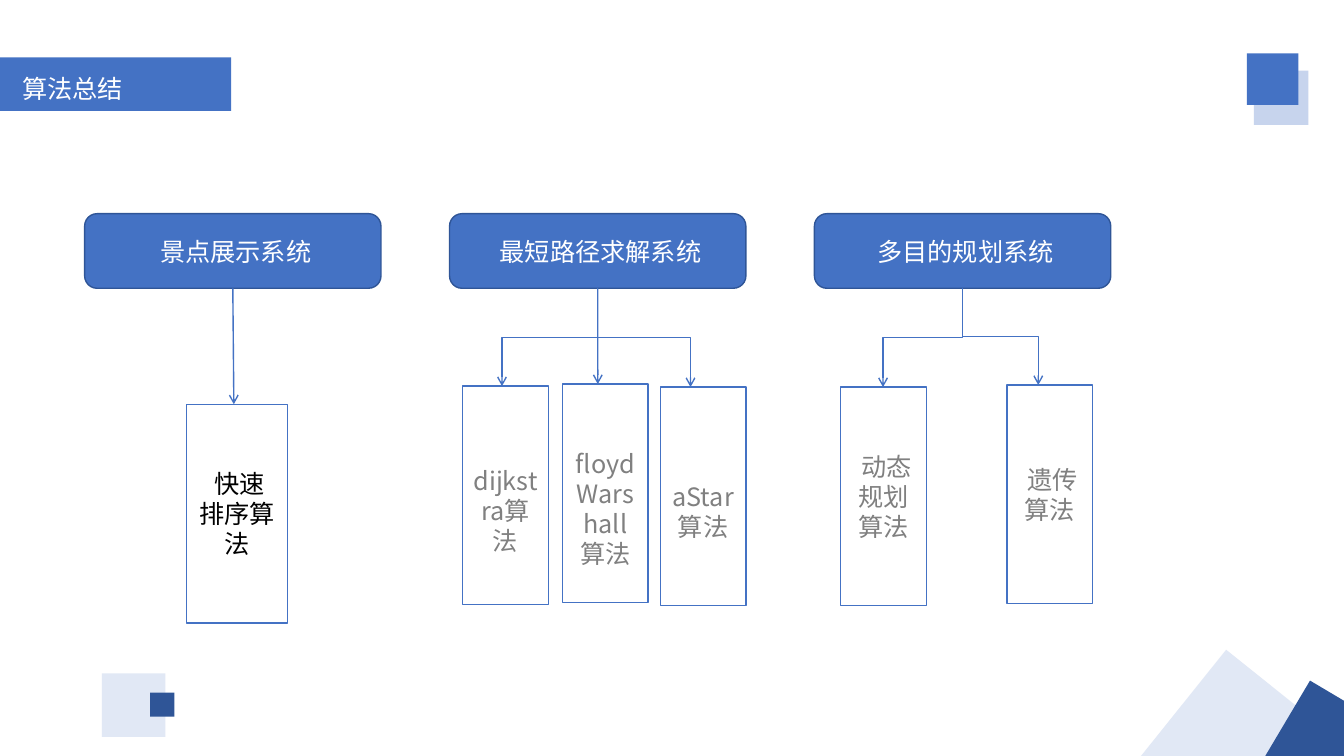
from lxml.etree import SubElement
from pptx import Presentation
from pptx.dml.color import RGBColor
from pptx.enum.shapes import MSO_CONNECTOR, MSO_SHAPE
from pptx.enum.text import MSO_ANCHOR, MSO_AUTO_SIZE, PP_ALIGN
from pptx.oxml.ns import qn
from pptx.util import Inches, Pt

BLUE = RGBColor(0x44, 0x72, 0xC4)
NAVY = RGBColor(0x2F, 0x55, 0x97)
PALE = RGBColor(0xC7, 0xD4, 0xED)
GRAY = RGBColor(0x80, 0x80, 0x80)
BLACK = RGBColor(0, 0, 0)
WHITE = RGBColor(0xFF, 0xFF, 0xFF)

# Positions and sizes below are percentages of the slide's width and height.
SYSTEM_LEFT, SYSTEM_TOP, SYSTEM_STEP = 6.3, 28.27, 27.15
SYSTEM_WIDTH, SYSTEM_HEIGHT = 22.05, 9.87
ALGORITHM_WIDTH, ALGORITHM_HEIGHT = 6.38, 28.93

# Each algorithm: text, left, top, width, arrow tip, text colour
SYSTEMS = [
    (" 景点展示系统", [(" 快速排序算法", 13.88, 53.47, 7.5, 17.4, BLACK)]),
    (" 最短路径求解系统", [
        (" dijkstra算法", 34.43, 51.07, ALGORITHM_WIDTH, 37.35, GRAY),
        (" floydWarshall算法", 41.85, 50.8, ALGORITHM_WIDTH, 44.48, GRAY),
        (" aStar算法", 49.13, 51.2, ALGORITHM_WIDTH, 51.38, GRAY),
    ]),
    (" 多目的规划系统", [
        (" 动态规划算法", 62.55, 51.2, ALGORITHM_WIDTH, 65.7, GRAY),
        (" 遗传算法", 74.93, 50.93, ALGORITHM_WIDTH, 77.25, GRAY),
    ]),
]

# Left, top, side, colour, rotation, opacity
DECORATIONS = [
    (93.3, 9.33, 4.05, PALE, 0, 100),
    (86.48, 90, 11.25, PALE, 308.7, 53),
    (7.58, 89.07, 4.73, PALE, 0, 53),
    (11.18, 91.6, 1.8, NAVY, 0, 100),
    (92.78, 7.07, 3.83, BLUE, 0, 100),
    (95.25, 92.27, 6.83, NAVY, 300.7, 100),
]


class AlgorithmSlide:
    font_name = "Noto Sans CJK SC"
    font_size = Pt(18)
    line_width = Pt(1)

    def __init__(self, deck):
        self.width, self.height = deck.slide_width, deck.slide_height
        self.slide = deck.slides.add_slide(deck.slide_layouts[5])
        self.shapes = self.slide.shapes

    def x(self, share):
        return round(self.width * share / 100)

    def y(self, share):
        return round(self.height * share / 100)

    def set_text(self, frame, text, color, align, anchor):
        frame.word_wrap = True
        frame.auto_size = MSO_AUTO_SIZE.NONE
        frame.vertical_anchor = anchor
        frame.text = text
        paragraph = frame.paragraphs[0]
        paragraph.alignment = align
        font = paragraph.font
        font.size, font.name = self.font_size, self.font_name
        font.color.rgb = color
        SubElement(font._rPr, qn("a:ea"), typeface=self.font_name)

    def shape(self, kind, left, top, width, height, fill=None, line=None):
        """Add a preset shape; the lengths are in EMU."""
        shape = self.shapes.add_shape(kind, left, top, width, height)
        shape.shadow.inherit = False
        if fill is None:
            shape.fill.background()
        else:
            shape.fill.solid()
            shape.fill.fore_color.rgb = fill
        if line is None:
            shape.line.fill.background()
        else:
            shape.line.color.rgb = line
            shape.line.width = self.line_width
        return shape

    def title(self, text):
        banner = self.shape(MSO_SHAPE.PENTAGON, 0, self.y(7.6),
                            self.x(17.2), self.y(7.07), BLUE)
        banner.adjustments[0] = 0
        title = self.shapes.title
        title.left, title.top = self.x(0.9), self.y(9.07)
        title.width, title.height = self.x(16.28), self.y(5.73)
        self.set_text(title.text_frame, text, WHITE, PP_ALIGN.JUSTIFY, MSO_ANCHOR.TOP)
        banner._element.addnext(title._element)

    def square(self, left, top, side, color, rotation, opacity):
        square = self.shape(MSO_SHAPE.RECTANGLE, self.x(left), self.y(top),
                            self.x(side), self.x(side), color)
        square.rotation = rotation
        if opacity < 100:
            rgb = square._element.spPr.find(".//" + qn("a:srgbClr"))
            SubElement(rgb, qn("a:alpha"), val=str(opacity * 1000))

    def system(self, text, left):
        system = self.shape(MSO_SHAPE.ROUNDED_RECTANGLE, self.x(left), self.y(SYSTEM_TOP),
                            self.x(SYSTEM_WIDTH), self.y(SYSTEM_HEIGHT), BLUE, NAVY)
        self.set_text(system.text_frame, text, WHITE, PP_ALIGN.CENTER, MSO_ANCHOR.MIDDLE)
        return system

    def algorithm(self, text, left, top, width, color):
        algorithm = self.shape(MSO_SHAPE.RECTANGLE, self.x(left), self.y(top),
                               self.x(width), self.y(ALGORITHM_HEIGHT), line=BLUE)
        self.set_text(algorithm.text_frame, text, color, PP_ALIGN.CENTER, MSO_ANCHOR.MIDDLE)

    def arrow(self, system, tip_x, tip_y):
        """Point down from a system, with a bend when the tip lies to one side."""
        start_x = system.left + system.width // 2
        start_y = system.top + system.height
        end_x, end_y = self.x(tip_x), self.y(tip_y)
        run, drop = end_x - start_x, end_y - start_y
        if abs(run) < Inches(0.1):
            arrow = self.shapes.add_connector(
                MSO_CONNECTOR.STRAIGHT, start_x, start_y, end_x, end_y)
            arrow.begin_connect(system, 2)
        else:
            # A quarter turn about the centre makes the elbow leave downwards.
            middle_x, middle_y = (start_x + end_x) // 2, (start_y + end_y) // 2
            arrow = self.shapes.add_connector(
                MSO_CONNECTOR.ELBOW, middle_x - drop // 2, middle_y + run // 2,
                middle_x + drop // 2, middle_y - run // 2)
            arrow._element.spPr.find(qn("a:xfrm")).set("rot", "5400000")
        arrow.line.color.rgb = BLUE
        arrow.line.width = self.line_width
        SubElement(arrow.line._get_or_add_ln(), qn("a:tailEnd"), type="arrow")
        SubElement(arrow._element.spPr, qn("a:effectLst"))


def main():
    deck = Presentation()
    deck.slide_width, deck.slide_height = Inches(13.33), Inches(7.5)
    page = AlgorithmSlide(deck)
    page.title("算法总结")
    for decoration in DECORATIONS:
        page.square(*decoration)
    for index, (name, algorithms) in enumerate(SYSTEMS):
        system = page.system(name, SYSTEM_LEFT + index * SYSTEM_STEP)
        for text, left, top, width, tip, color in algorithms:
            page.arrow(system, tip, top)
            page.algorithm(text, left, top, width, color)
    deck.save("out.pptx")


if __name__ == "__main__":
    main()
